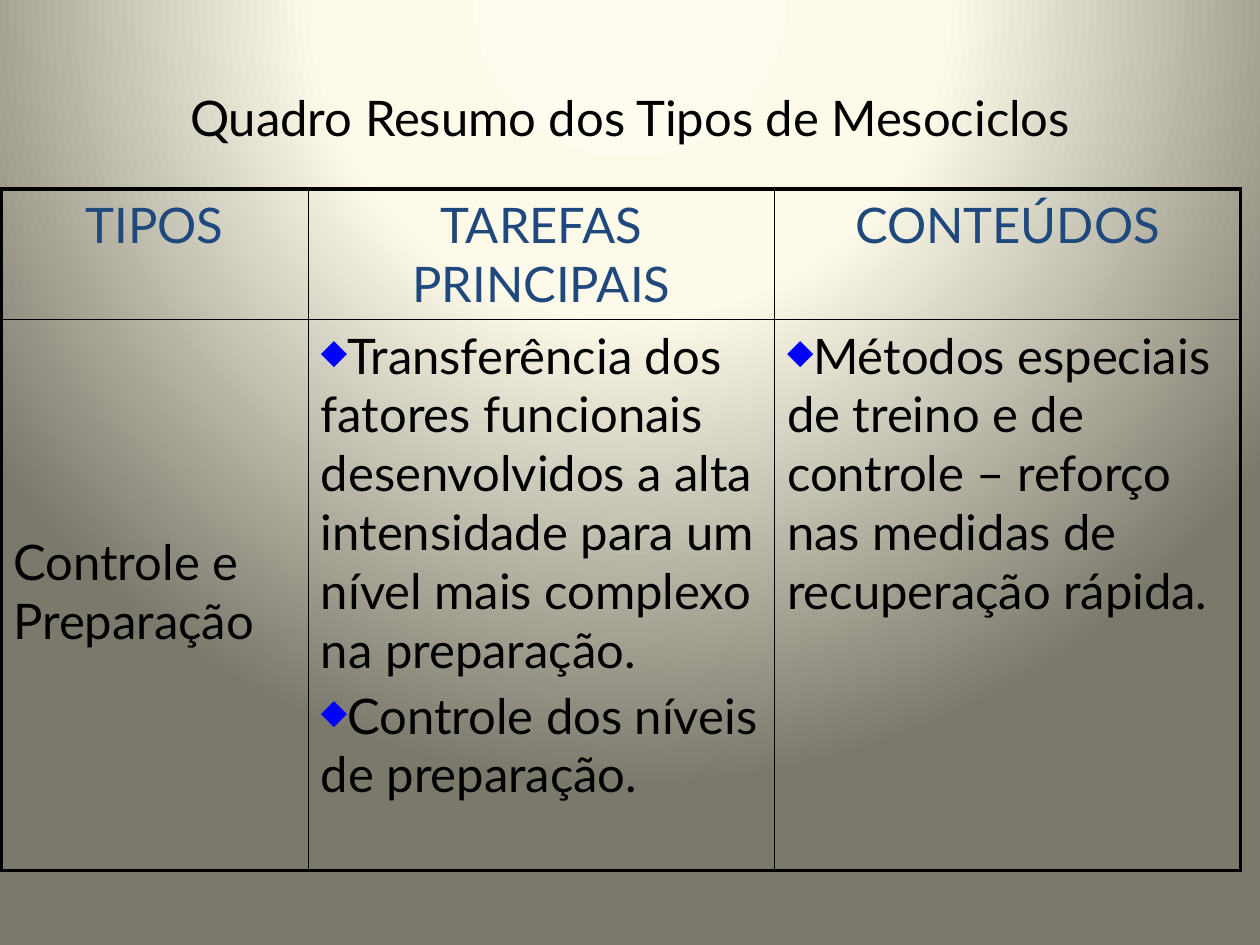
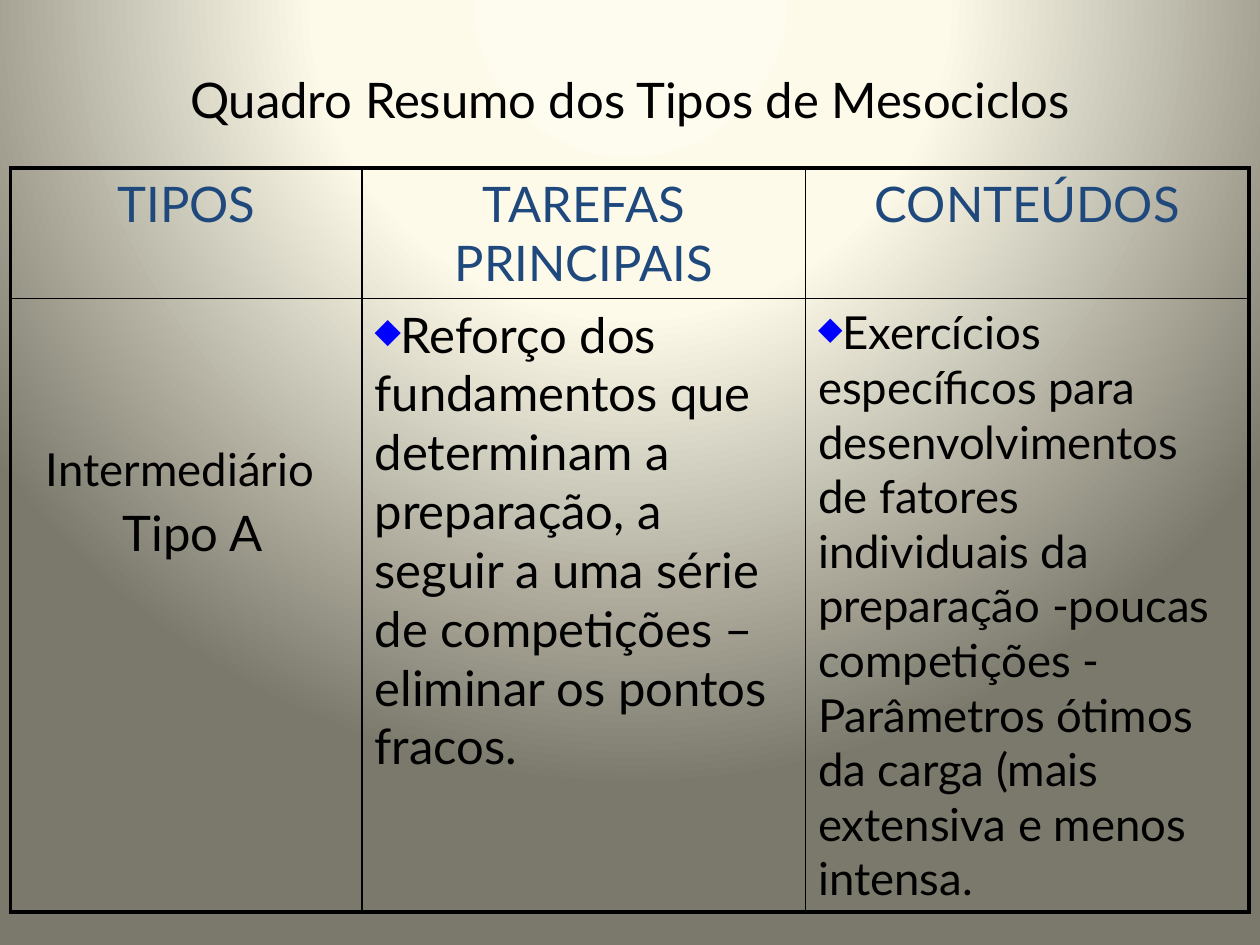
from dataclasses import dataclass

from lxml import etree
from pptx import Presentation
from pptx.dml.color import RGBColor
from pptx.enum.text import MSO_ANCHOR, PP_ALIGN
from pptx.oxml import parse_xml
from pptx.oxml.ns import nsdecls, qn
from pptx.util import Pt

LEFT, CENTER = PP_ALIGN.LEFT, PP_ALIGN.CENTER
MIDDLE, TOP = MSO_ANCHOR.MIDDLE, MSO_ANCHOR.TOP


@dataclass(frozen=True)
class Theme:
    font: str = "Lato"
    text: str = "000000"
    heading: str = "1F497D"
    bullet: str = "0000FF"
    border: str = "000000"
    backdrop: tuple = ((0, "FEFCEE"), (40, "FDFAEA"), (100, "7B796B"))
    size: int = 28
    small: int = 26
    para_gap: int = 4
    outer: float = 2.25
    inner: float = 1


THEME = Theme()
TITLE = "Quadro Resumo dos Tipos de Mesociclos"
HEADINGS = ("TIPOS", "TAREFAS PRINCIPAIS", "CONTEÚDOS")
HEADER_HEIGHT = 74.6


def write(tf, text, *, size=THEME.size, color=THEME.text, align=LEFT,
          bullet=False, indent=0, first=True):
    """Write one paragraph into a text frame."""
    p = tf.paragraphs[0] if first else tf.add_paragraph()
    p.alignment = align
    if not first:
        p.space_before = Pt(THEME.para_gap)
    r = p.add_run()
    r.text = text
    r.font.name = THEME.font
    r.font.size = Pt(size)
    r.font.bold = False
    r.font.color.rgb = RGBColor.from_string(color)
    pPr = p._p.get_or_add_pPr()
    pPr.set("marL", str(Pt(indent)))
    pPr.set("indent", "0")
    if bullet:
        clr = etree.SubElement(pPr, qn("a:buClr"))
        etree.SubElement(clr, qn("a:srgbClr"), val=THEME.bullet)
        etree.SubElement(pPr, qn("a:buSzPct"), val="70000")
        etree.SubElement(pPr, qn("a:buChar"), char="◆")


class Deck:
    def __init__(self, theme):
        self.theme = theme
        self.prs = Presentation()
        self.prs.slide_width, self.prs.slide_height = Pt(720), Pt(540)
        self.s = None
        self.backdrop()

    def backdrop(self):
        """Give the master a radial gradient that every slide inherits."""
        master = self.prs.slide_master
        master.background.fill.gradient()
        old = next(master._element.iter(qn("a:gradFill")))
        stops = "".join(
            f'<a:gs pos="{pos * 1000}"><a:srgbClr val="{color}"/></a:gs>'
            for pos, color in self.theme.backdrop)
        new = parse_xml(
            f'<a:gradFill {nsdecls("a")} rotWithShape="1">'
            f'<a:gsLst>{stops}</a:gsLst><a:path path="circle">'
            '<a:fillToRect l="50000" t="-80000" r="50000" b="180000"/>'
            '</a:path></a:gradFill>')
        old.getparent().replace(old, new)

    def slide(self, title, top):
        self.s = self.prs.slides.add_slide(self.prs.slide_layouts[5])
        sp = self.s.shapes.title
        sp.left, sp.top, sp.width, sp.height = Pt(36), Pt(top), Pt(648), Pt(90)
        sp.text_frame.vertical_anchor = MIDDLE
        write(sp.text_frame, title, align=CENTER)

    def borders(self, cell, widths):
        """Draw the left, right, top and bottom edges of a cell."""
        tcPr = cell._tc.get_or_add_tcPr()
        for i, (side, width) in enumerate(zip("LRTB", widths)):
            tcPr.insert(i, parse_xml(
                f'<a:ln{side} {nsdecls("a")} w="{Pt(width)}"><a:solidFill>'
                f'<a:srgbClr val="{self.theme.border}"/></a:solidFill>'
                f'</a:ln{side}>'))

    def table(self, left, top, col_widths, body_height, body, type_top):
        """Add a heading row and one body row; body holds write() arguments."""
        heights = (HEADER_HEIGHT, body_height)
        tbl = self.s.shapes.add_table(
            2, 3, Pt(left), Pt(top), Pt(sum(col_widths)), Pt(sum(heights))).table
        tbl.first_row = tbl.horz_banding = False
        for col, width in zip(tbl.columns, col_widths):
            col.width = Pt(width)
        for row, height in zip(tbl.rows, heights):
            row.height = Pt(height)

        heading = dict(color=self.theme.heading, align=CENTER)
        rows = ([[(text, heading)] for text in HEADINGS], body)
        for i, row in enumerate(rows):
            for j, paragraphs in enumerate(row):
                cell = tbl.cell(i, j)
                cell.fill.background()
                cell.vertical_anchor = TOP
                edges = (j == 0, j == 2, i == 0, i == 1)
                self.borders(cell, [self.theme.outer if edge else self.theme.inner
                                    for edge in edges])
                for n, (text, style) in enumerate(paragraphs):
                    write(cell.text_frame, text, first=n == 0, **style)
        tbl.cell(1, 0).margin_top = Pt(type_top)


deck = Deck(THEME)
item = dict(bullet=True)
small_item = dict(bullet=True, size=THEME.small)

# Slide 1: control and preparation
deck.slide(TITLE, top=21.6)
deck.table(0.5, 108, (175.7, 266.4, 266.4), 315, [
    [("Controle e Preparação", {})],
    [("Transferência dos fatores funcionais desenvolvidos a alta intensidade "
      "para um nível mais complexo na preparação.", item),
     ("Controle dos níveis de preparação.", item)],
    [("Métodos especiais de treino e de controle – reforço nas medidas de "
      "recuperação rápida.", item)],
], type_top=121.5)

# Slide 2: intermediate, type A
deck.slide(TITLE, top=11.5)
deck.table(6, 96, (200.9, 253.4, 253.4), 350, [
    [("Intermediário", dict(size=THEME.small, indent=13)),
     ("Tipo A", dict(align=CENTER, indent=7))],
    [("Reforço dos fundamentos que determinam a preparação, a seguir a uma "
      "série de competições – eliminar os pontos fracos.", item)],
    [("Exercícios específicos para desenvolvimentos de fatores individuais da "
      "preparação -poucas competições - Parâmetros ótimos da carga (mais "
      "extensiva e menos intensa.", small_item)],
], type_top=81.5)

deck.prs.save("out.pptx")
